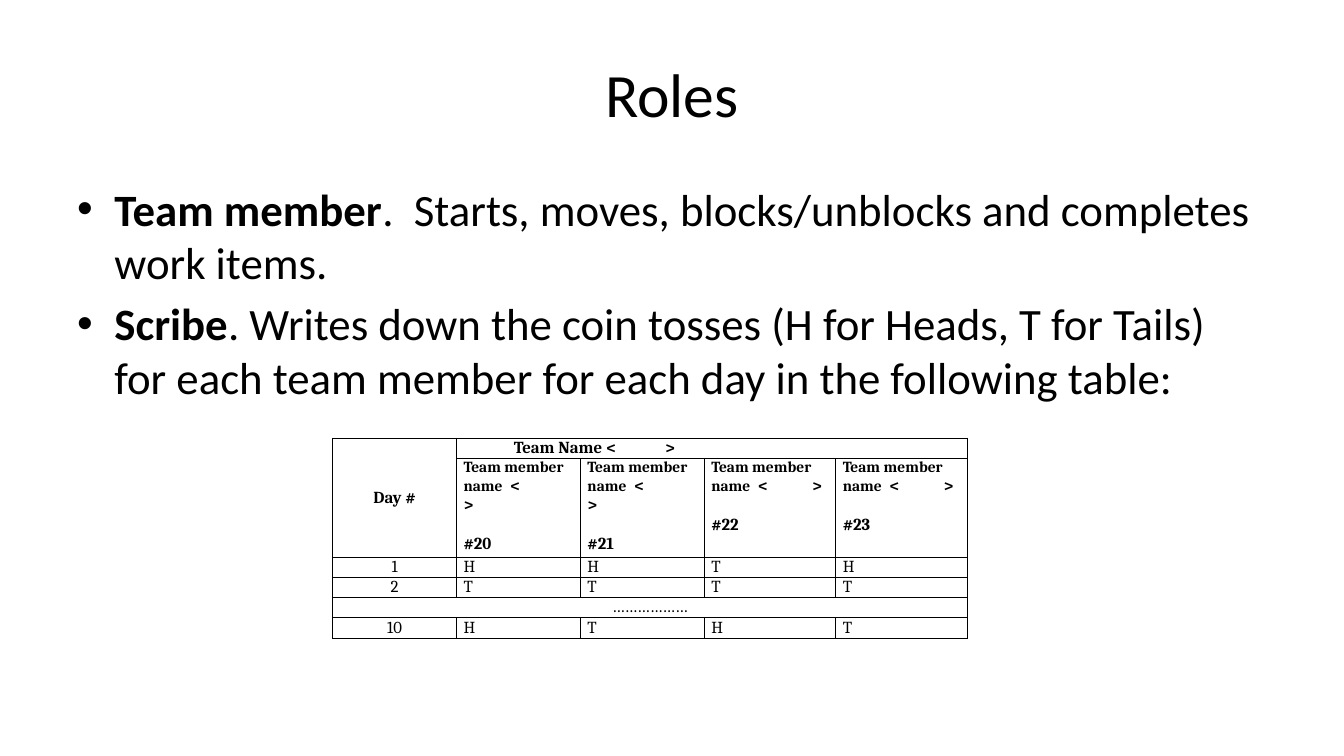
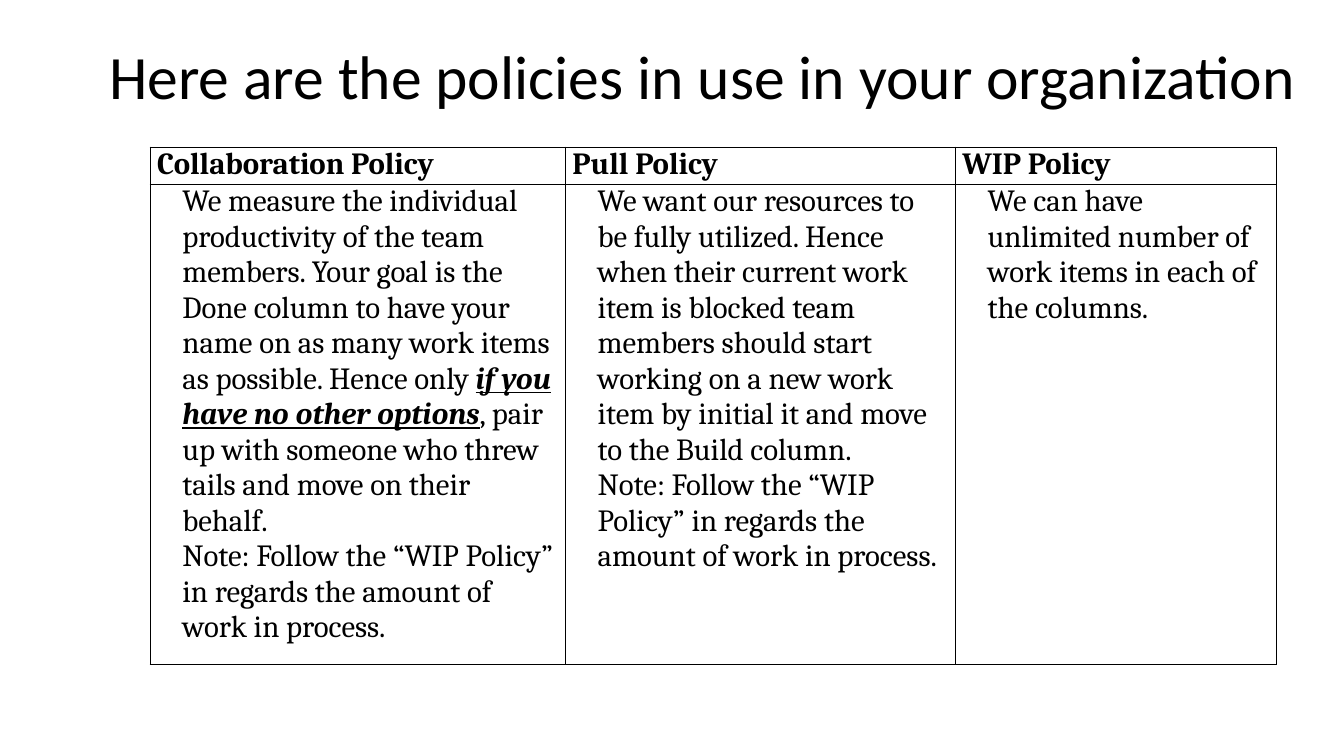
"""Build two slides on team roles and policies, each with a bordered table."""
from lxml.etree import SubElement
from pptx import Presentation
from pptx.dml.color import RGBColor
from pptx.enum.text import MSO_ANCHOR, PP_ALIGN
from pptx.oxml.ns import qn
from pptx.util import Inches, Pt

COLORS = {"text": "000000", "line": "000000", "paper": "FFFFFF"}
TITLE = {"name": "Calibri", "size": Pt(44)}
BODY = {"name": "Calibri", "size": Pt(32)}
SMALL = {"name": "Cambria", "size": Pt(12)}
LARGE = {"name": "Cambria", "size": Pt(22)}
BOLD = {"bold": True}
CENTER = {"alignment": PP_ALIGN.CENTER}

prs = Presentation()
prs.slide_width, prs.slide_height = Inches(13.33), Inches(7.5)
COL, ROW = prs.slide_width / 100, prs.slide_height / 100


def write(tf, paras, font, margin=0, bullet=None, tabs=()):
    """Fill a text frame with (runs, paragraph format) pairs."""
    tf.word_wrap = True
    for i, (runs, layout) in enumerate(paras):
        p = tf.add_paragraph() if i else tf.paragraphs[0]
        for key, value in layout.items():
            setattr(p, key, value)
        pPr = p._p.get_or_add_pPr()
        pPr.set("marL", str(Inches(margin)))
        pPr.set("indent", str(-Inches(margin) if bullet else 0))
        if bullet:
            SubElement(pPr, qn("a:buFont"), typeface="Arial")
            SubElement(pPr, qn("a:buChar"), char=bullet)
        if tabs:
            stops = SubElement(pPr, qn("a:tabLst"))
            for tab in tabs:
                SubElement(stops, qn("a:tab"), pos=str(Inches(tab)), algn="l")
        for text, extra in runs:
            r = p.add_run()
            r.text = text
            for key, value in {**font, **extra}.items():
                setattr(r.font, key, value)
            r.font.color.rgb = RGBColor.from_string(COLORS["text"])


def add_grid(s, left, top, cols, rows):
    """Add a plain table with thin borders; sizes are shares of the slide."""
    table = s.shapes.add_table(
        len(rows), len(cols), int(left * COL), int(top * ROW),
        int(sum(cols) * COL), int(sum(rows) * ROW)).table
    table.first_row = table.horz_banding = False
    for column, width in zip(table.columns, cols):
        column.width = int(width * COL)
    for line, height in zip(table.rows, rows):
        line.height = int(height * ROW)
    box = {"margin_left": Inches(0.07), "margin_right": Inches(0.07),
           "margin_top": 0, "margin_bottom": 0}
    for cell in table.iter_cells():
        for key, value in box.items():
            setattr(cell, key, value)
        for side in ("lnL", "lnR", "lnT", "lnB"):
            ln = SubElement(cell._tc.get_or_add_tcPr(), qn(f"a:{side}"), w=str(Pt(1)))
            SubElement(SubElement(ln, qn("a:solidFill")), qn("a:srgbClr"), val=COLORS["line"])
        cell.fill.solid()
        cell.fill.fore_color.rgb = RGBColor.from_string(COLORS["paper"])
    return table


slides = []
for heading, left, top in (
        ("Roles", 5, 4),
        ("Here are the policies in use in your organization", 7.3, 1.6)):
    s = prs.slides.add_slide(prs.slide_layouts[6])
    sp = s.shapes.add_textbox(int(left * COL), int(top * ROW), int(90 * COL), int(16.67 * ROW))
    sp.text_frame.vertical_anchor = MSO_ANCHOR.MIDDLE
    write(sp.text_frame, [([(heading, {})], CENTER)], TITLE)
    slides.append(s)
roles, policies = slides

sp = roles.shapes.add_textbox(int(5 * COL), int(23.33 * ROW), int(90 * COL), int(32 * ROW))
duties = {
    "Team member": ".  Starts, moves, blocks/unblocks and completes work items.",
    "Scribe": ". Writes down the coin tosses (H for Heads, T for Tails) "
              "for each team member for each day in the following table:",
}
write(sp.text_frame,
      [([(role, BOLD), (duty, {})], {"space_before": Pt(5)}) for role, duty in duties.items()],
      BODY, margin=0.37, bullet="•")

tosses = add_grid(roles, 24.75, 58, [9.22] * 3 + [9.78] * 2, [2.57, 12.6] + [2.57] * 4)
tosses.cell(0, 0).merge(tosses.cell(1, 0))
tosses.cell(0, 1).merge(tosses.cell(0, 4))
tosses.cell(4, 0).merge(tosses.cell(4, 4))
tosses.cell(0, 0).vertical_anchor = MSO_ANCHOR.MIDDLE
write(tosses.cell(0, 0).text_frame, [([("Day #", BOLD)], CENTER)], SMALL)
write(tosses.cell(0, 1).text_frame, [([("\tTeam Name <\t>", BOLD)], {})], SMALL, tabs=(1.17, 3.66))
for c, number in enumerate(("#20", "#21", "#22", "#23"), 1):
    name = ("Team member name", {"bold": True, "size": Pt(11)})
    tag = ([(number, BOLD)], {"space_before": Pt(14)})
    if c < 3:
        paras = [([name, ("  <", BOLD)], {}), ([(">", BOLD)], {}), tag]
    else:
        paras = [([name, ("  <\t>", BOLD)], {}), tag]
    write(tosses.cell(1, c).text_frame, paras, SMALL, tabs=(1.01,))
for row, values in {2: ("1", *"HHTH"), 3: ("2", *"TTTT"),
                    4: ("………………",), 5: ("10", *"HTHT")}.items():
    for c, value in enumerate(values):
        write(tosses.cell(row, c).text_frame, [([(value, {})], {} if c else CENTER)], SMALL)

note = [("Note: Follow the “WIP Policy” in regards the amount of work in process.", {})]
rules = {
    "Collaboration Policy": [
        [("We measure the individual productivity of the team members. Your goal is the "
          "Done column to have your name on as many work items as possible. Hence only ", {}),
         ("if you have no other options", {"bold": True, "italic": True, "underline": True}),
         (", pair up with someone who threw tails and move on their behalf.", {})],
        note],
    "Pull Policy": [
        [("We want our resources to be fully utilized. Hence when their current work item "
          "is blocked team members should start working on a new work item by initial it "
          "and move to the Build column.", {})],
        note],
    "WIP Policy": [
        [("We can have unlimited number of work items in each of the columns.", {})]],
}
grid = add_grid(policies, 11.17, 19.47, [30.9, 29.02, 23.92], [4.7, 60.85])
for c, (policy, texts) in enumerate(rules.items()):
    write(grid.cell(0, c).text_frame, [([(policy, BOLD)], {})], LARGE)
    write(grid.cell(1, c).text_frame, [(runs, {}) for runs in texts], LARGE, margin=0.25)

prs.save("out.pptx")
